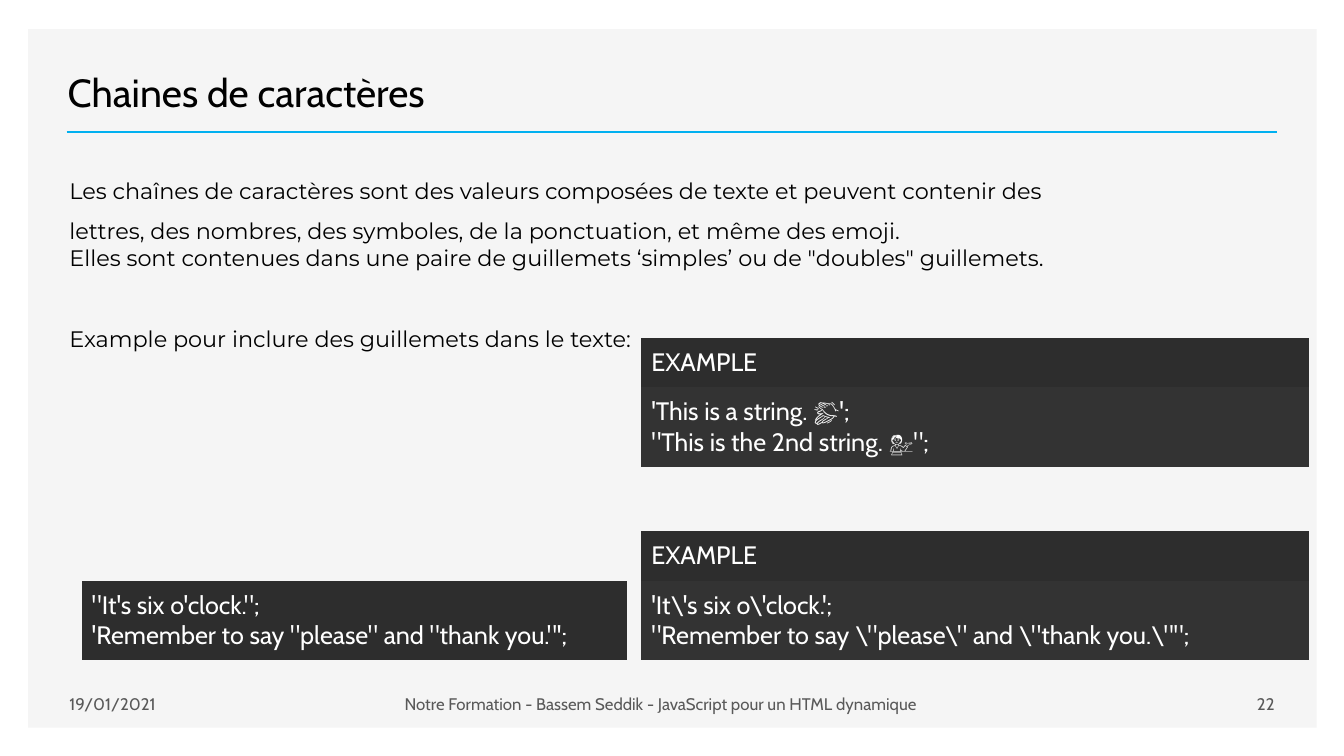
from pptx import Presentation, util as u
from pptx.dml.color import RGBColor
from pptx.enum import shapes, text
from pptx.oxml.ns import qn
from lxml import etree

PX = 9144  # 100 px to the inch
COL = {"panel": "F5F5F5", "rule": "00B0F0", "ink": "000000", "foot": "595959",
       "head": "2D2D2D", "code": "333333", "light": "FFFFFF"}
PLAIN = "{2D5ABB26-0587-4C30-8999-92F81FD0307C}"  # table style without grid
ALIGN, ANCHOR = text.PP_ALIGN, text.MSO_ANCHOR
TITLE = dict(name="Cabin", size=u.Pt(28))
BODY = dict(name="Montserrat", size=u.Pt(16))
CODE = dict(name="Cabin", size=u.Pt(18))
FOOT = dict(name="Cabin", size=u.Pt(12))


class Deck:
    def __init__(self, wide, high):
        self.prs = Presentation()
        self.prs.slide_width, self.prs.slide_height = wide * PX, high * PX
        self.slide = self.prs.slides.add_slide(self.prs.slide_layouts[5])
        self.items = self.slide.shapes

    def paint(self, fill, col):
        fill.solid()
        fill.fore_color.rgb = RGBColor.from_string(COL[col])

    def style(self, para, font, col, **form):
        for key, val in font.items():
            setattr(para.font, key, val)
        para.font.color.rgb = RGBColor.from_string(COL[col])
        for key, val in form.items():
            setattr(para, key, val)

    def panel(self, *box):
        rect = self.items.add_shape(shapes.MSO_SHAPE.RECTANGLE, *[n * PX for n in box])
        rect.shadow.inherit = False
        self.paint(rect.fill, "panel")
        rect.line.fill.background()
        # Keep the panel behind the title
        self.items.title.element.addprevious(rect.element)

    def rule(self, *ends):
        line = self.items.add_connector(shapes.MSO_CONNECTOR.STRAIGHT, *[n * PX for n in ends])
        line.line.color.rgb = RGBColor.from_string(COL["rule"])
        line.line.width = u.Pt(2)
        etree.SubElement(line.element.spPr, qn("a:effectLst"))

    def title(self, box, words):
        shape = self.items.title
        for key, val in zip(("left", "top", "width", "height"), box):
            setattr(shape, key, val * PX)
        frame = shape.text_frame
        frame.text = words
        frame.vertical_anchor = ANCHOR.BOTTOM
        frame.auto_size = text.MSO_AUTO_SIZE.NONE
        self.style(frame.paragraphs[0], TITLE, "ink", alignment=ALIGN.LEFT)

    def label(self, box, paras, font, col, anchor=ANCHOR.TOP):
        frame = self.items.add_textbox(*[n * PX for n in box]).text_frame
        frame.word_wrap = True
        frame.vertical_anchor = anchor
        frame.text = "\n".join(words for words, _ in paras)
        for para, (_, form) in zip(frame.paragraphs, paras):
            self.style(para, font, col, **form)

    def table(self, left, top, wide, rows):
        """Each row is (height, fill, words)."""
        high = sum(row[0] for row in rows)
        frame = self.items.add_table(len(rows), 1, left * PX, top * PX, wide * PX, high * PX)
        grid = frame.table
        grid.first_row = grid.horz_banding = False
        frame.element.find(".//" + qn("a:tableStyleId")).text = PLAIN
        for i, (tall, fill, words) in enumerate(rows):
            grid.rows[i].height = tall * PX
            cell = grid.cell(i, 0)
            cell.margin_left = cell.margin_right = 10 * PX
            cell.margin_top = cell.margin_bottom = 9 * PX
            cell.vertical_anchor = ANCHOR.MIDDLE
            cell.text = words
            self.paint(cell.fill, fill)
            self.style(cell.text_frame.paragraphs[0], CODE, "light")


def main():
    deck = Deck(1333, 750)

    # Frame and title
    deck.panel(28, 29, 1278, 693)
    deck.rule(66, 131, 1267, 131)
    deck.title((57, 49, 1201, 70), "Chaines de caractères")

    # Explanation
    deck.label((59, 157, 1025, 498), [
        ("Les chaînes de caractères sont des valeurs composées de texte et peuvent contenir des "
         "lettres, des nombres, des symboles, de la ponctuation, et même des emoji.",
         dict(line_spacing=1.5)),
        ("Elles sont contenues dans une paire de guillemets ‘simples’ ou de \"doubles\" guillemets.",
         dict(line_spacing=1.0)),
        ("Example pour inclure des guillemets dans le texte:", dict(space_before=u.Pt(39))),
    ], BODY, "ink")

    # Code samples
    samples = [
        (335, "'This is a string. 👏';\v\"This is the 2nd string. 💁\";"),
        (527, "'It\\'s six o\\'clock.';\v\"Remember to say \\\"please\\\" and \\\"thank you.\\\"\";"),
    ]
    for top, code in samples:
        deck.table(636, top, 662, [(49, "head", "EXAMPLE"), (79, "code", code)])
    deck.table(81, 576, 541, [
        (79, "head", "\"It's six o'clock.\";\v'Remember to say \"please\" and \"thank you.\"';")])

    # Footer
    for left, wide, words, side in [
        (59, 168, "19/01/2021", ALIGN.LEFT),
        (227, 857, "Notre Formation - Bassem Seddik - JavaScript pour un HTML dynamique", ALIGN.CENTER),
        (1084, 190, "22", ALIGN.RIGHT),
    ]:
        deck.label((left, 678, wide, 40), [(words, dict(alignment=side))], FOOT, "foot", ANCHOR.MIDDLE)

    deck.prs.save("out.pptx")


if __name__ == "__main__":
    main()
